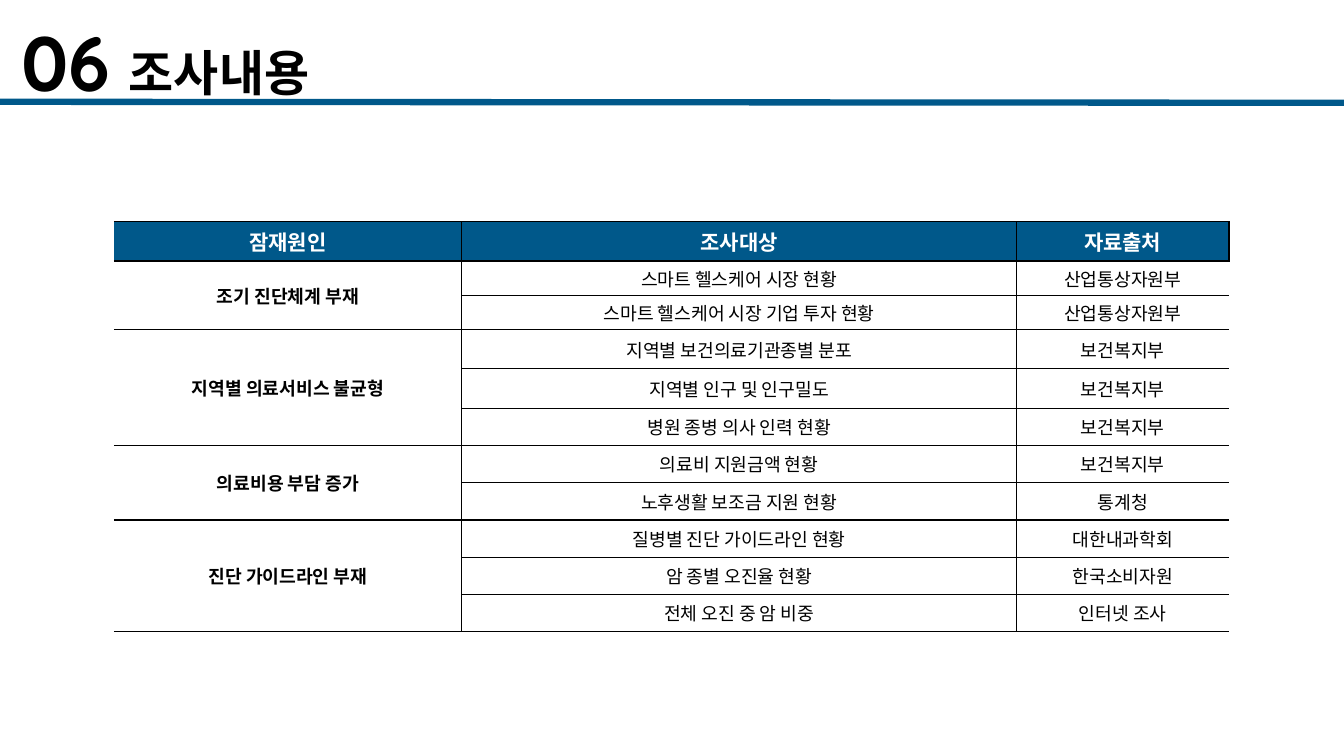
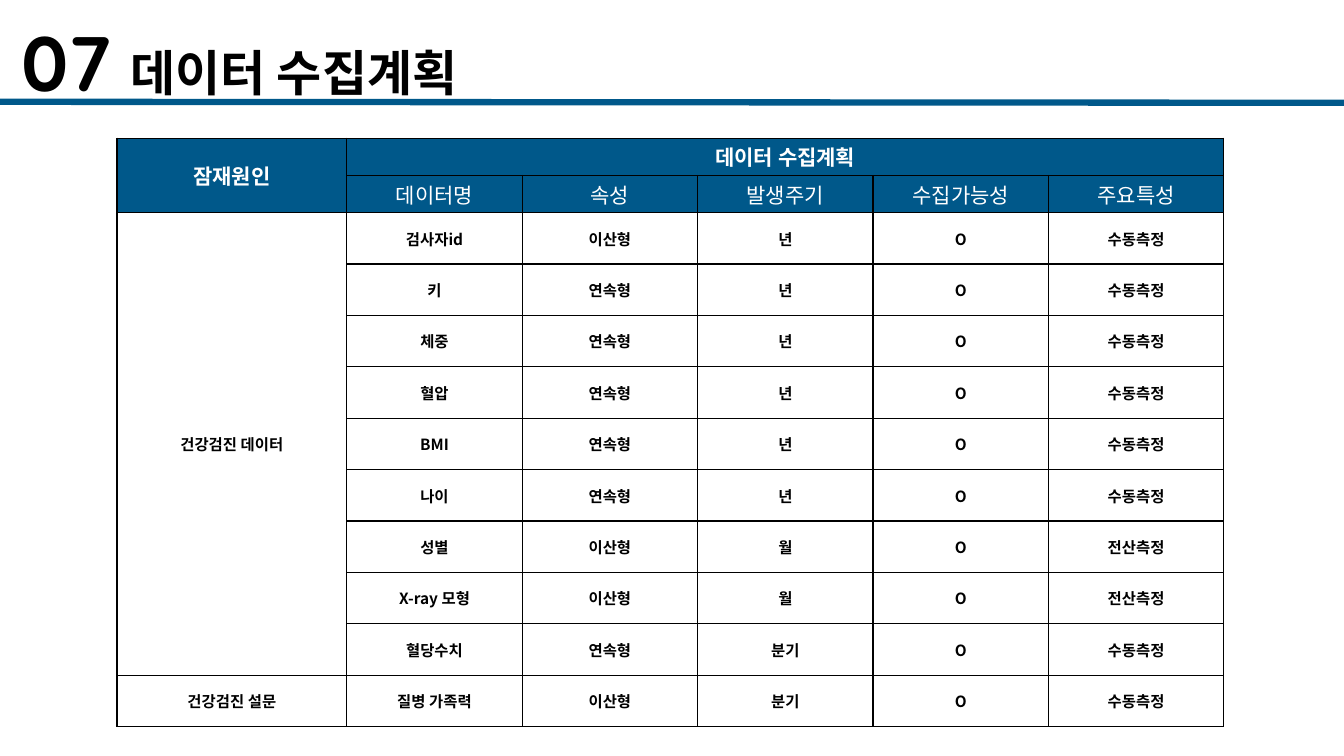
from dataclasses import dataclass

from lxml import etree
from pptx import Presentation
from pptx.dml.color import RGBColor
from pptx.enum.shapes import MSO_CONNECTOR
from pptx.enum.text import MSO_ANCHOR, PP_ALIGN
from pptx.oxml.ns import qn
from pptx.slide import Slide
from pptx.table import Table, _Cell
from pptx.util import Inches, Pt

STRAIGHT = MSO_CONNECTOR.STRAIGHT
MIDDLE = MSO_ANCHOR.MIDDLE
CENTER = PP_ALIGN.CENTER
BLANK_LAYOUT = 6


@dataclass(frozen=True)
class Theme:
    blue: RGBColor = RGBColor(0x00, 0x58, 0x8A)
    black: RGBColor = RGBColor(0, 0, 0)
    white: RGBColor = RGBColor(255, 255, 255)
    number_font: str = "Quicksand"
    body_font: str = "Noto Sans CJK KR"
    number_size: float = 55
    gap_size: float = 46.7
    title_size: float = 35
    header_size: float = 15
    rule_width: float = 4.5
    border_width: float = 1


THEME = Theme()


@dataclass(frozen=True)
class Group:
    cause: str
    items: tuple[tuple[str, ...], ...]


@dataclass(frozen=True)
class Grid:
    left: float
    top: float
    col_widths: tuple[float, ...]
    row_heights: tuple[float, ...]
    headers: tuple[tuple[str, ...], ...]
    groups: tuple[Group, ...]
    body_size: float
    body_bold: bool
    open_sides: bool
    side_margin: float


@dataclass(frozen=True)
class Page:
    number: str
    title: str
    grid: Grid


SURVEY = Grid(
    left=1.13,
    top=2.2,
    col_widths=(3.45, 5.5, 2.11),
    row_heights=(0.39, 0.34, 0.34, 0.39, 0.39) + (0.37,) * 6,
    headers=(("잠재원인", "조사대상", "자료출처"),),
    groups=(
        Group("조기 진단체계 부재", (
            ("스마트 헬스케어 시장 현황", "산업통상자원부"),
            ("스마트 헬스케어 시장 기업 투자 현황", "산업통상자원부"),
        )),
        Group("지역별 의료서비스 불균형", (
            ("지역별 보건의료기관종별 분포", "보건복지부"),
            ("지역별 인구 및 인구밀도", "보건복지부"),
            ("병원 종병 의사 인력 현황", "보건복지부"),
        )),
        Group("의료비용 부담 증가", (
            ("의료비 지원금액 현황", "보건복지부"),
            ("노후생활 보조금 지원 현황", "통계청"),
        )),
        Group("진단 가이드라인 부재", (
            ("질병별 진단 가이드라인 현황", "대한내과학회"),
            ("암 종별 오진율 현황", "한국소비자원"),
            ("전체 오진 중 암 비중", "인터넷 조사"),
        )),
    ),
    body_size=13,
    body_bold=False,
    open_sides=True,
    side_margin=0.09,
)

COLLECTION = Grid(
    left=1.16,
    top=1.37,
    col_widths=(2.28,) + (1.74,) * 5,
    row_heights=(0.37,) * 2 + (0.51,) * 10,
    headers=(
        ("잠재원인", "데이터 수집계획", "", "", "", ""),
        ("", "데이터명", "속성", "발생주기", "수집가능성", "주요특성"),
    ),
    groups=(
        Group("건강검진 데이터", (
            ("검사자id", "이산형", "년", "O", "수동측정"),
            ("키", "연속형", "년", "O", "수동측정"),
            ("체중", "연속형", "년", "O", "수동측정"),
            ("혈압", "연속형", "년", "O", "수동측정"),
            ("BMI", "연속형", "년", "O", "수동측정"),
            ("나이", "연속형", "년", "O", "수동측정"),
            ("성별", "이산형", "월", "O", "전산측정"),
            ("X-ray 모형", "이산형", "월", "O", "전산측정"),
            ("혈당수치", "연속형", "분기", "O", "수동측정"),
        )),
        Group("건강검진 설문", (
            ("질병 가족력", "이산형", "분기", "O", "수동측정"),
        )),
    ),
    body_size=11,
    body_bold=True,
    open_sides=False,
    side_margin=0.07,
)

PAGES = (
    Page("06", "조사내용", SURVEY),
    Page("07", "데이터 수집계획", COLLECTION),
)


def add_rule(slide: Slide) -> None:
    line = slide.shapes.add_connector(
        STRAIGHT, 0, Inches(1.01), Inches(13.33), Inches(1.02)
    )
    line.line.color.rgb = THEME.blue
    line.line.width = Pt(THEME.rule_width)
    etree.SubElement(line._element.spPr, qn("a:effectLst"))


def add_title(slide: Slide, number: str, title: str) -> None:
    sp = slide.shapes.add_textbox(
        Inches(0.08), Inches(0.2), Inches(9.76), Inches(0.81)
    )
    tf = sp.text_frame
    tf.word_wrap = True
    tf.vertical_anchor = MIDDLE
    tf.margin_left = tf.margin_right = Inches(0.13)
    tf.margin_top = tf.margin_bottom = Inches(0.07)
    p = tf.paragraphs[0]
    p.font.name = THEME.number_font
    p.font.bold = True
    p.font.color.rgb = THEME.black
    for text, size in (
        (number, THEME.number_size),
        (" ", THEME.gap_size),
        (title, THEME.title_size),
    ):
        r = p.add_run()
        r.text = text
        r.font.size = Pt(size)
    ea = etree.SubElement(r._r.get_or_add_rPr(), qn("a:ea"))
    ea.set("typeface", THEME.body_font)


def set_borders(cell: _Cell, hidden: set[str]) -> None:
    tc_pr = cell._tc.get_or_add_tcPr()
    for side in "LRTB":
        ln = etree.SubElement(tc_pr, qn(f"a:ln{side}"))
        if side in hidden:
            ln.set("w", "0")
            etree.SubElement(ln, qn("a:noFill"))
            continue
        ln.set("w", str(Pt(THEME.border_width)))
        fill = etree.SubElement(ln, qn("a:solidFill"))
        etree.SubElement(fill, qn("a:srgbClr")).set("val", str(THEME.black))


def fill_cell(cell: _Cell, text: str, grid: Grid, row: int, col: int) -> None:
    is_header = row < len(grid.headers)
    hidden = set()
    if grid.open_sides and col == 0:
        hidden.add("L")
    if grid.open_sides and not is_header and col == len(grid.col_widths) - 1:
        hidden.add("R")
    set_borders(cell, hidden)
    cell.fill.solid()
    cell.fill.fore_color.rgb = THEME.blue if is_header else THEME.white
    cell.vertical_anchor = MIDDLE
    cell.margin_left = cell.margin_right = Inches(grid.side_margin)
    cell.margin_top = cell.margin_bottom = Inches(0.03)
    p = cell.text_frame.paragraphs[0]
    p.alignment = CENTER
    p.font.name = THEME.body_font
    p.font.size = Pt(THEME.header_size if is_header else grid.body_size)
    p.font.color.rgb = THEME.white if is_header else THEME.black
    p.font.bold = row == 0 or not is_header and (col == 0 or grid.body_bold)
    ea = etree.SubElement(p.font._element, qn("a:ea"))
    ea.set("typeface", THEME.body_font)
    if text:
        p.add_run().text = text


def merge_cells(table: Table, grid: Grid) -> None:
    row = len(grid.headers)
    if row > 1:
        table.cell(0, 0).merge(table.cell(row - 1, 0))
        table.cell(0, 1).merge(table.cell(0, len(grid.col_widths) - 1))
    for group in grid.groups:
        last = row + len(group.items) - 1
        if last > row:
            table.cell(row, 0).merge(table.cell(last, 0))
        row = last + 1


def add_grid(slide: Slide, grid: Grid) -> None:
    rows = list(grid.headers)
    for group in grid.groups:
        for i, item in enumerate(group.items):
            rows.append(("" if i else group.cause, *item))
    table = slide.shapes.add_table(
        len(rows), len(grid.col_widths),
        Inches(grid.left), Inches(grid.top),
        Inches(sum(grid.col_widths)), Inches(sum(grid.row_heights)),
    ).table
    table.first_row = table.horz_banding = False
    for column, width in zip(table.columns, grid.col_widths):
        column.width = Inches(width)
    for table_row, height in zip(table.rows, grid.row_heights):
        table_row.height = Inches(height)
    for row, texts in enumerate(rows):
        for col, text in enumerate(texts):
            fill_cell(table.cell(row, col), text, grid, row, col)
    merge_cells(table, grid)


def main() -> None:
    prs = Presentation()
    prs.slide_width = Inches(13.33)
    prs.slide_height = Inches(7.5)
    for page in PAGES:
        slide = prs.slides.add_slide(prs.slide_layouts[BLANK_LAYOUT])
        add_rule(slide)
        add_title(slide, page.number, page.title)
        add_grid(slide, page.grid)
    prs.save("out.pptx")


if __name__ == "__main__":
    main()
